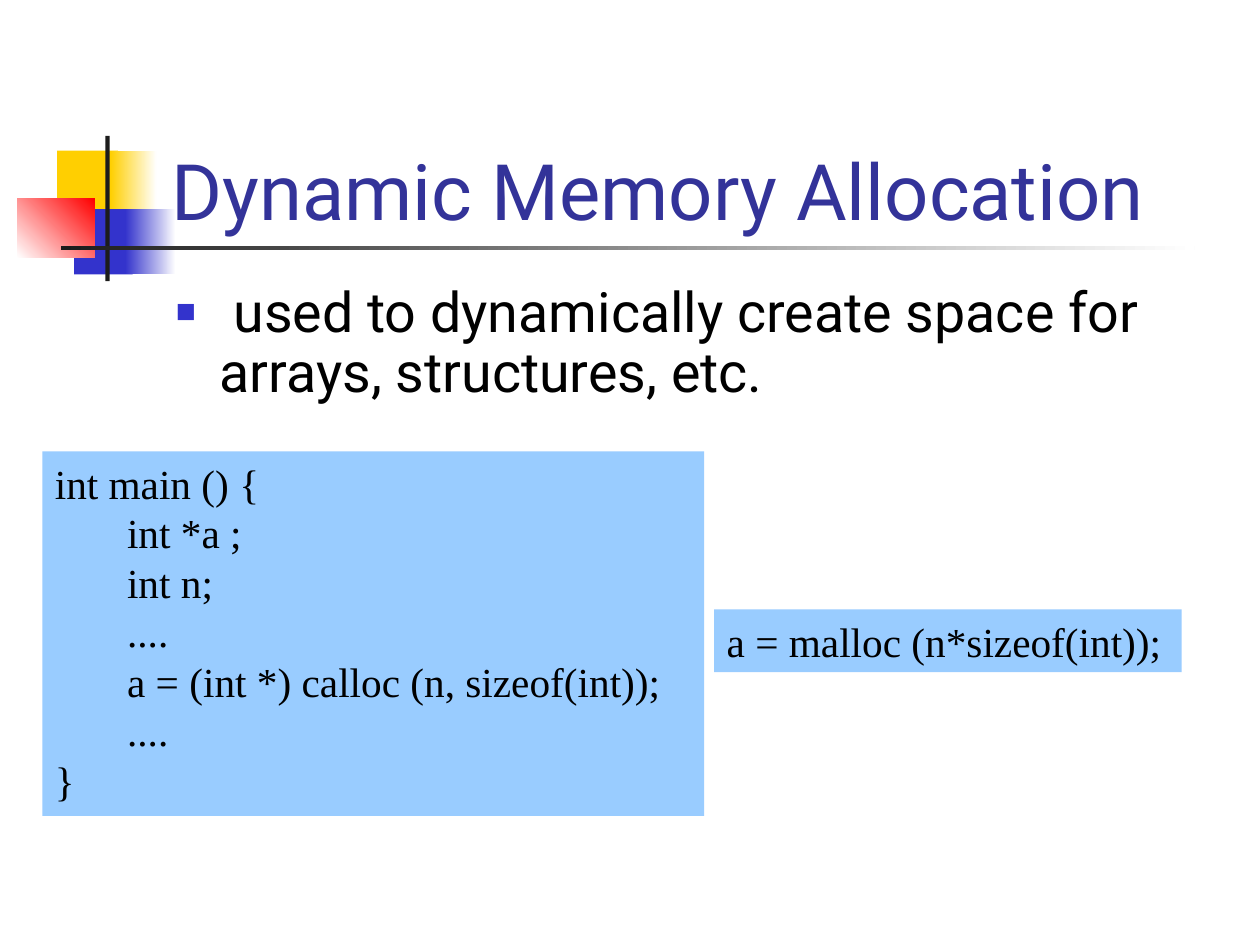
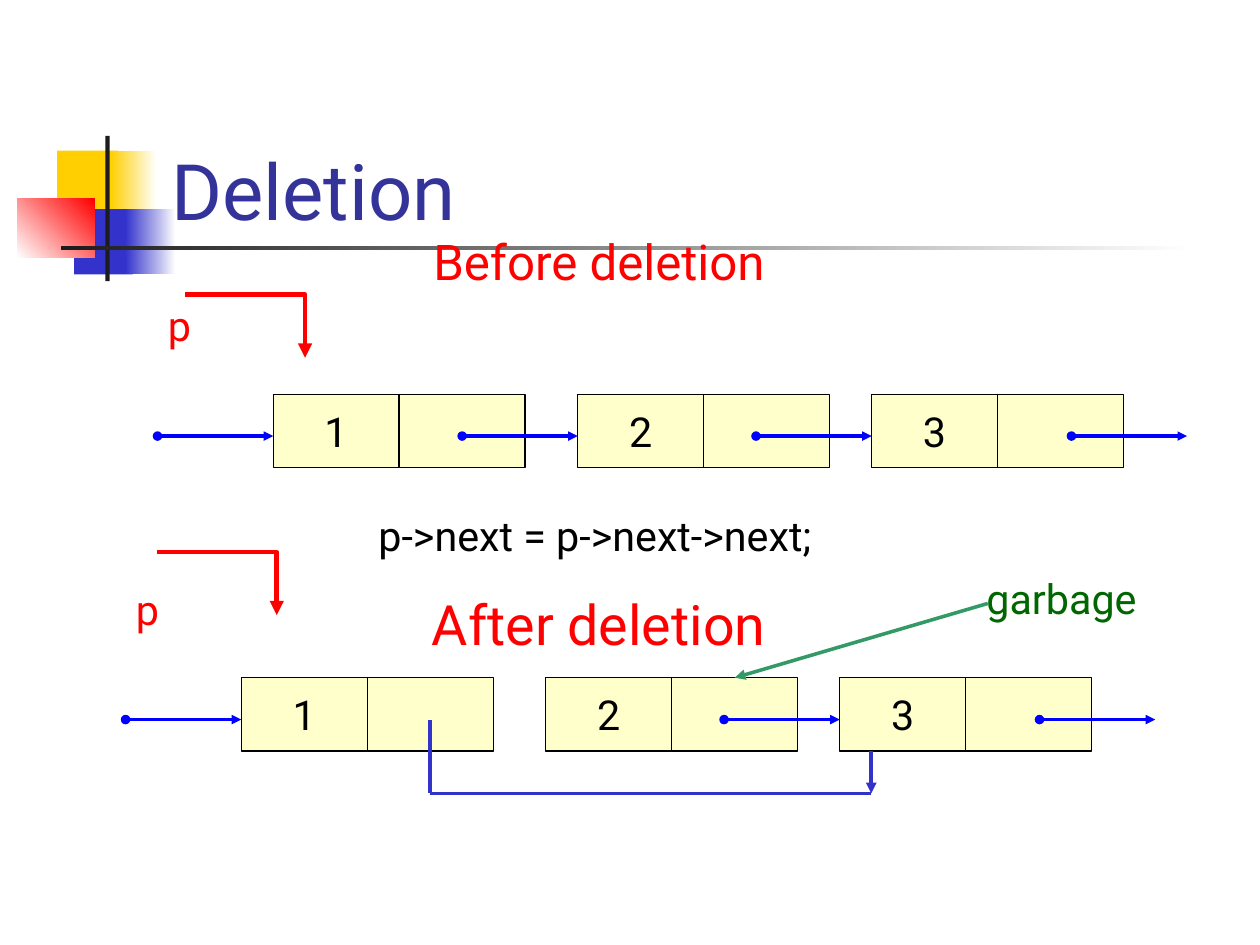
"""Build two lecture slides on dynamic memory and linked-list deletion."""
from dataclasses import dataclass
from typing import Optional

from lxml.etree import SubElement
from pptx import Presentation
from pptx.dml.color import RGBColor
from pptx.enum.shapes import MSO_CONNECTOR, MSO_SHAPE
from pptx.enum.text import MSO_ANCHOR, MSO_AUTO_SIZE, PP_ALIGN
from pptx.oxml.ns import qn
from pptx.shapes.autoshape import Shape
from pptx.shapes.connector import Connector
from pptx.slide import Slide, SlideLayout
from pptx.text.text import _Paragraph as Paragraph
from pptx.util import Cm, Pt


@dataclass(frozen=True)
class Theme:
    """Colours, fonts and type sizes used by both slides."""
    title: str = "333399"
    ink: str = "000000"
    red: str = "FF0000"
    blue: str = "3333CC"
    yellow: str = "FFCF01"
    white: str = "FFFFFF"
    rule: str = "1C1C1C"
    code_fill: str = "99CCFF"
    cell_fill: str = "FFFFCC"
    link: str = "0000FF"
    garbage_text: str = "006600"
    garbage_arrow: str = "339966"
    sans: str = "Roboto"
    serif: str = "Times New Roman"
    title_size: int = 49
    list_size: int = 35
    caption_size: int = 31
    text_size: int = 26


THEME = Theme()


@dataclass(frozen=True)
class Box:
    """Position and size in centimetres."""
    left: float
    top: float
    width: float
    height: float


@dataclass(frozen=True)
class Band:
    """One filled bar of the shared decoration."""
    box: Box
    start: str
    end: Optional[str] = None
    angle: float = 0


@dataclass(frozen=True)
class TextStyle:
    """Look of a block of text."""
    size: int = THEME.text_size
    colour: str = THEME.ink
    font: str = THEME.sans
    align: PP_ALIGN = PP_ALIGN.LEFT
    anchor: MSO_ANCHOR = MSO_ANCHOR.TOP
    spacing: float = 1.0
    hanging: float = 0
    bullet: bool = False


@dataclass(frozen=True)
class Stroke:
    """Colour, width and ends of a line."""
    colour: str
    width: float
    head: Optional[str] = None
    tail: Optional[str] = None


@dataclass(frozen=True)
class ListRow:
    """One state of the linked list and its pointer p."""
    left: float
    top: float
    linked: tuple[int, ...]
    pointer: tuple[float, float]
    pointer_label: Box


BANDS = (
    Band(Box(1.27, 3.35, 1.35, 1.45), THEME.yellow),
    Band(Box(2.46, 3.35, 1.02, 1.45), THEME.yellow, THEME.white),
    Band(Box(1.65, 4.65, 1.3, 1.45), THEME.blue),
    Band(Box(2.79, 4.65, 1.12, 1.45), THEME.blue, THEME.white),
    Band(Box(0.38, 4.42, 1.73, 1.3), THEME.white, THEME.red, 45),
    Band(Box(2.34, 3.02, 0.1, 3.23), THEME.rule),
    Band(Box(1.35, 5.46, 25.2, 0.1), THEME.rule, THEME.white),
)
TITLE_BOX = Box(3.53, 1.88, 23.88, 3.51)
TITLE_STYLE = TextStyle(THEME.title_size, THEME.title, anchor=MSO_ANCHOR.BOTTOM)
CODE_STYLE = TextStyle(font=THEME.serif)
VALUE_STYLE = TextStyle(align=PP_ALIGN.CENTER, anchor=MSO_ANCHOR.MIDDLE)
RED_STYLE = TextStyle(colour=THEME.red)

LINK = Stroke(THEME.link, 2, "oval", "triangle")
POINTER = Stroke(THEME.red, 3, tail="triangle")
BYPASS = Stroke(THEME.blue, 2.25)
BYPASS_END = Stroke(THEME.blue, 2.25, tail="triangle")
GARBAGE = Stroke(THEME.garbage_arrow, 2.25, tail="triangle")

CELL_WIDTH, CELL_HEIGHT = 2.8, 1.63
NODE_OFFSETS = (0, 6.77, 13.3)
LINK_LENGTH, LINK_DROP = 2.57, 0.93
LAST_TIP = NODE_OFFSETS[-1] + 7.01
BEFORE = ListRow(6.07, 8.76, (0, 1, 2, 3), (4.11, 6.55), Box(3.45, 6.53, 1.07, 1.4))
AFTER = ListRow(5.36, 15.06, (0, 2, 3), (3.48, 12.27), Box(2.74, 12.83, 1.09, 1.4))

CALLOC_CODE = """int main () {
       int *a ;
       int n;
       ....
       a = (int *) calloc (n, sizeof(int));
       ....
}"""


def colour(value: str) -> RGBColor:
    """Turn a hex string into a colour."""
    return RGBColor.from_string(value)


def place(shape: Shape, box: Box) -> None:
    """Move and size a shape."""
    shape.left, shape.top = Cm(box.left), Cm(box.top)
    shape.width, shape.height = Cm(box.width), Cm(box.height)


def set_indent(paragraph: Paragraph, style: TextStyle) -> None:
    """Set the hanging indent and the list marker."""
    properties = paragraph._p.get_or_add_pPr()
    properties.set("marL", str(Cm(style.hanging)))
    properties.set("indent", str(-Cm(style.hanging)))
    if style.bullet:
        marker_colour = SubElement(properties, qn("a:buClr"))
        SubElement(marker_colour, qn("a:srgbClr"), val=THEME.blue)
        SubElement(properties, qn("a:buSzPct"), val="60000")
        SubElement(properties, qn("a:buChar"), char="■")
    else:
        SubElement(properties, qn("a:buNone"))


def write(shape: Shape, text: str, style: TextStyle) -> None:
    """Fill a shape with formatted text."""
    frame = shape.text_frame
    frame.text = text
    frame.word_wrap = True
    frame.auto_size = MSO_AUTO_SIZE.NONE
    frame.vertical_anchor = style.anchor
    frame.margin_left = frame.margin_right = Cm(0.28)
    frame.margin_top = frame.margin_bottom = Cm(0.15)
    for paragraph in frame.paragraphs:
        set_indent(paragraph, style)
        paragraph.alignment = style.align
        paragraph.line_spacing = style.spacing
        paragraph.space_before = Pt(0)
        for run in paragraph.runs:
            run.font.name = style.font
            run.font.size = Pt(style.size)
            run.font.color.rgb = colour(style.colour)


def add_panel(slide: Slide, box: Box, fill: str, outline: Optional[str] = None) -> Shape:
    """Add a flat rectangle, outlined if a colour is given."""
    panel = slide.shapes.add_shape(
        MSO_SHAPE.RECTANGLE, Cm(box.left), Cm(box.top), Cm(box.width), Cm(box.height))
    panel.shadow.inherit = False
    panel.fill.solid()
    panel.fill.fore_color.rgb = colour(fill)
    if outline:
        panel.line.color.rgb = colour(outline)
        panel.line.width = Pt(0.75)
    else:
        panel.line.fill.background()
    return panel


def add_label(slide: Slide, text: str, box: Box, style: TextStyle) -> None:
    """Add a text box."""
    label = slide.shapes.add_textbox(
        Cm(box.left), Cm(box.top), Cm(box.width), Cm(box.height))
    write(label, text, style)


def add_line(slide: Slide, start: tuple[float, float], end: tuple[float, float],
             stroke: Stroke, bent: bool = False) -> Connector:
    """Add a straight line or one with a single right-angle bend."""
    kind = MSO_CONNECTOR.ELBOW if bent else MSO_CONNECTOR.STRAIGHT
    line = slide.shapes.add_connector(
        kind, Cm(start[0]), Cm(start[1]), Cm(end[0]), Cm(end[1]))
    line.line.color.rgb = colour(stroke.colour)
    line.line.width = Pt(stroke.width)
    properties = line.element.spPr
    if bent:
        properties.find(qn("a:prstGeom")).set("prst", "bentConnector2")
    outline = properties.find(qn("a:ln"))
    for tag, end_type in (("a:headEnd", stroke.head), ("a:tailEnd", stroke.tail)):
        if end_type:
            SubElement(outline, qn(tag), type=end_type)
    SubElement(properties, qn("a:effectLst"))
    return line


def decorate(layout: SlideLayout, slide: Slide) -> None:
    """Give the layout its coloured bands, drawn by way of a slide."""
    for placeholder in list(layout.placeholders):
        if placeholder.placeholder_format.idx >= 10:
            layout.shapes.element.remove(placeholder.element)
    for position, band in enumerate(BANDS, start=2):
        panel = add_panel(slide, band.box, band.start)
        if band.end:
            panel.fill.gradient()
            panel.fill.gradient_angle = band.angle
            for stop, value in zip(panel.fill.gradient_stops, (band.start, band.end)):
                stop.color.rgb = colour(value)
        layout.shapes.element.insert(position, panel.element)


def fill_placeholders(slide: Slide, title: str, body: str, box: Box,
                      style: TextStyle) -> None:
    """Place and write the title and the body."""
    place(slide.shapes.title, TITLE_BOX)
    write(slide.shapes.title, title, TITLE_STYLE)
    content = slide.placeholders[1]
    place(content, box)
    write(content, body, style)


def build_allocation(slide: Slide) -> None:
    """Show calloc in a program and malloc beside it."""
    fill_placeholders(
        slide, "Dynamic Memory Allocation",
        " used to dynamically create space for arrays, structures, etc.",
        Box(3.63, 6.17, 22.5, 4.09),
        TextStyle(THEME.list_size, spacing=0.9, hanging=0.97, bullet=True))
    for code, box in ((CALLOC_CODE, Box(0.94, 10.03, 14.71, 8.1)),
                      ("a = malloc (n*sizeof(int));", Box(15.87, 13.54, 10.39, 1.4))):
        write(add_panel(slide, box, THEME.code_fill), code, CODE_STYLE)


def add_list_row(slide: Slide, row: ListRow) -> list[Shape]:
    """Draw the nodes, links and pointer p; return the link cells."""
    link_cells = []
    for number, offset in enumerate(NODE_OFFSETS, start=1):
        left = row.left + offset
        value_cell, link_cell = (
            add_panel(slide, Box(left + column * CELL_WIDTH, row.top, CELL_WIDTH, CELL_HEIGHT),
                      THEME.cell_fill, THEME.ink)
            for column in range(2))
        write(value_cell, str(number), VALUE_STYLE)
        link_cells.append(link_cell)
    tips = (*NODE_OFFSETS, LAST_TIP)
    height = row.top + LINK_DROP
    for index in row.linked:
        tip = row.left + tips[index]
        add_line(slide, (tip - LINK_LENGTH, height), (tip, height), LINK)
    add_label(slide, "p", row.pointer_label, RED_STYLE)
    left, top = row.pointer
    add_line(slide, (left, top), (left + 2.67, top + 1.4), POINTER, bent=True)
    return link_cells


def build_deletion(slide: Slide) -> None:
    """Show the list before and after its second node is bypassed."""
    fill_placeholders(
        slide, "Deletion", "Before deletion", Box(8.41, 5.13, 9.8, 1.52),
        TextStyle(THEME.caption_size, THEME.red, align=PP_ALIGN.CENTER,
                  spacing=0.9, hanging=0.97))
    add_list_row(slide, BEFORE)
    add_label(slide, "p->next = p->next->next;", Box(8.13, 11.2, 11.61, 1.4), TextStyle())
    add_label(slide, "After deletion", Box(8.41, 12.95, 9.8, 1.52),
              TextStyle(THEME.list_size, THEME.red, align=PP_ALIGN.CENTER, hanging=1.04))
    link_cells = add_list_row(slide, AFTER)
    start, end, low = AFTER.left + 1.5 * CELL_WIDTH, AFTER.left + 14, 17.63
    add_line(slide, (start, AFTER.top + LINK_DROP), (start, low), BYPASS)
    add_line(slide, (start, low), (end, low), BYPASS)
    add_line(slide, (end, AFTER.top + CELL_HEIGHT), (end, low), BYPASS_END)
    add_label(slide, "garbage", Box(21.64, 12.6, 3.91, 1.4),
              TextStyle(colour=THEME.garbage_text))
    arrow = add_line(slide, (21.95, 13.41), (16.33, AFTER.top), GARBAGE)
    arrow.end_connect(link_cells[1], 0)


def main() -> None:
    """Build and save the presentation."""
    deck = Presentation()
    deck.slide_width, deck.slide_height = Cm(28), Cm(21)
    layout = deck.slide_layouts[1]
    allocation, deletion = (deck.slides.add_slide(layout) for _ in range(2))
    decorate(layout, allocation)
    build_allocation(allocation)
    build_deletion(deletion)
    deck.save("out.pptx")


if __name__ == "__main__":
    main()
